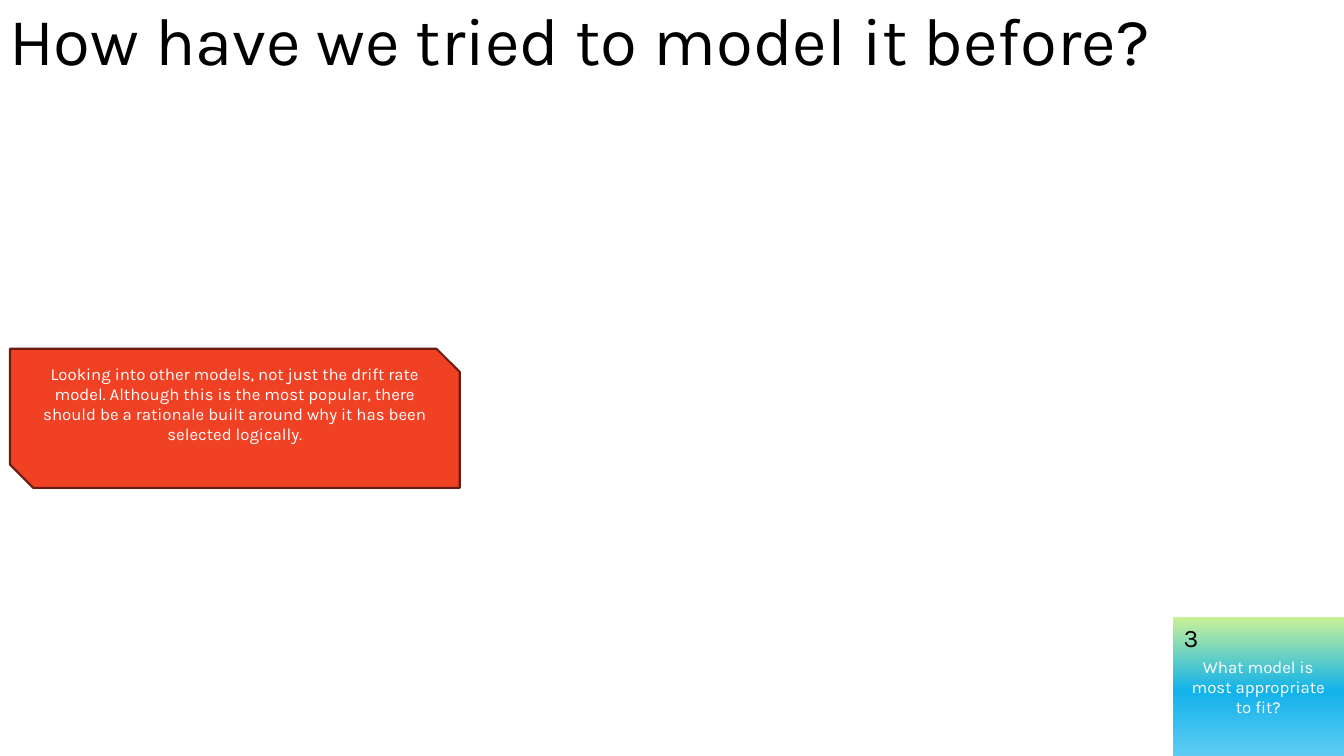
"""Build the slide on earlier modelling attempts."""
from copy import deepcopy
from dataclasses import dataclass

from pptx import Presentation
from pptx.dml.color import RGBColor
from pptx.enum.shapes import MSO_SHAPE
from pptx.enum.text import MSO_ANCHOR, MSO_AUTO_SIZE, PP_ALIGN
from pptx.oxml.ns import qn
from pptx.shapes.autoshape import Shape
from pptx.slide import Slide
from pptx.util import Inches, Pt

SNIPPED = MSO_SHAPE.SNIP_2_DIAG_RECTANGLE
RECTANGLE = MSO_SHAPE.RECTANGLE
MIDDLE = MSO_ANCHOR.MIDDLE
LEFT, CENTER = PP_ALIGN.LEFT, PP_ALIGN.CENTER
FIT_SHAPE = MSO_AUTO_SIZE.SHAPE_TO_FIT_TEXT
NO_FIT = MSO_AUTO_SIZE.NONE
FONT = "Karla"
TITLE_ONLY = 5


@dataclass(frozen=True)
class Card:
    """A filled shape with centred text."""

    kind: MSO_SHAPE
    left: float
    top: float
    width: float
    height: float
    text: str
    bottom_inset: float = 0.05


MODELS_CARD = Card(
    SNIPPED, 0.1, 3.46, 4.46, 1.38,
    "Looking into other models, not just the drift rate model. Although this "
    "is the most popular, there should be a rationale built around why it has "
    "been selected logically.",
    bottom_inset=0.34,
)
QUESTION_CARD = Card(
    RECTANGLE, 11.63, 6.12, 1.7, 1.38, "What model is most appropriate to fit?"
)
QUESTION_STOPS = ((0, "5ECCF3"), (0.47, "12B2EB"), (1, "CAF297"))


def rgb(value: str) -> RGBColor:
    """Turn a hex string into a colour."""
    return RGBColor.from_string(value)


def write(shape: Shape, text: str, size: float, color: str, align: PP_ALIGN) -> None:
    """Write one formatted run into the first paragraph of a shape."""
    para = shape.text_frame.paragraphs[0]
    para.alignment = align
    span = para.add_run()
    span.text = text
    span.font.name = FONT
    span.font.size = Pt(size)
    span.font.color.rgb = rgb(color)


def add_title(slide: Slide, text: str) -> None:
    """Place and format the title placeholder."""
    title = slide.shapes.title
    title.left, title.top = Inches(-0.01), Inches(-0.29)
    title.width, title.height = Inches(13.19), Inches(1.45)
    frame = title.text_frame
    frame.word_wrap = True
    frame.auto_size = NO_FIT
    frame.vertical_anchor = MIDDLE
    write(title, text, 48, "000000", LEFT)
    frame.paragraphs[0].line_spacing = 0.9


def add_card(slide: Slide, card: Card) -> Shape:
    """Draw a card with its text and return the shape."""
    shape = slide.shapes.add_shape(
        card.kind, Inches(card.left), Inches(card.top),
        Inches(card.width), Inches(card.height),
    )
    shape.shadow.inherit = False
    frame = shape.text_frame
    frame.word_wrap = True
    frame.vertical_anchor = MIDDLE
    frame.margin_bottom = Inches(card.bottom_inset)
    write(shape, card.text, 12, "FFFFFF", CENTER)
    return shape


def fill_gradient(shape: Shape, stops: tuple[tuple[float, str], ...]) -> None:
    """Fill a shape with a gradient that runs from bottom to top."""
    shape.fill.gradient()
    shape.fill.gradient_angle = 90
    stop_list = shape.element.spPr.find(qn("a:gradFill")).find(qn("a:gsLst"))
    while len(stop_list) < len(stops):
        stop_list.append(deepcopy(stop_list[0]))
    for stop, (position, color) in zip(shape.fill.gradient_stops, stops):
        stop.position = position
        stop.color.rgb = rgb(color)


def add_number(slide: Slide, text: str) -> None:
    """Add the number in the corner of the question card."""
    box = slide.shapes.add_textbox(
        Inches(11.64), Inches(6.12), Inches(0.34), Inches(0.4)
    )
    box.text_frame.word_wrap = False
    box.text_frame.auto_size = FIT_SHAPE
    write(box, text, 18, "000000", LEFT)


def main() -> None:
    """Build and save the deck."""
    deck = Presentation()
    deck.slide_width, deck.slide_height = Inches(13.33), Inches(7.5)
    page = deck.slides.add_slide(deck.slide_layouts[TITLE_ONLY])
    add_title(page, "How have we tried to model it before?")

    models = add_card(page, MODELS_CARD)
    models.fill.solid()
    models.fill.fore_color.rgb = rgb("F14124")
    models.line.color.rgb = rgb("6A1C10")
    models.line.width = Pt(1.5)

    question = add_card(page, QUESTION_CARD)
    fill_gradient(question, QUESTION_STOPS)
    question.line.fill.background()
    add_number(page, "3")

    deck.save("out.pptx")


if __name__ == "__main__":
    main()
